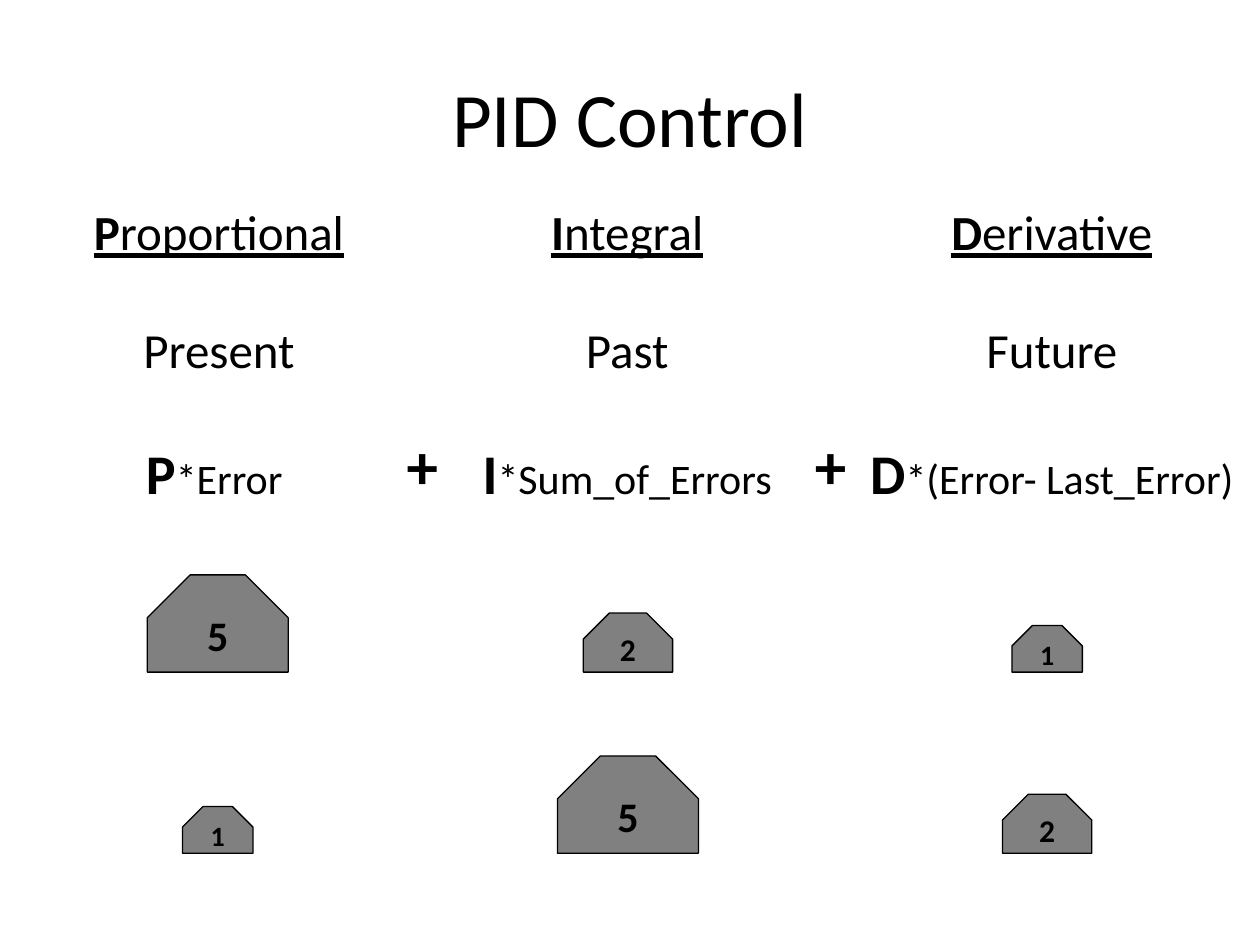
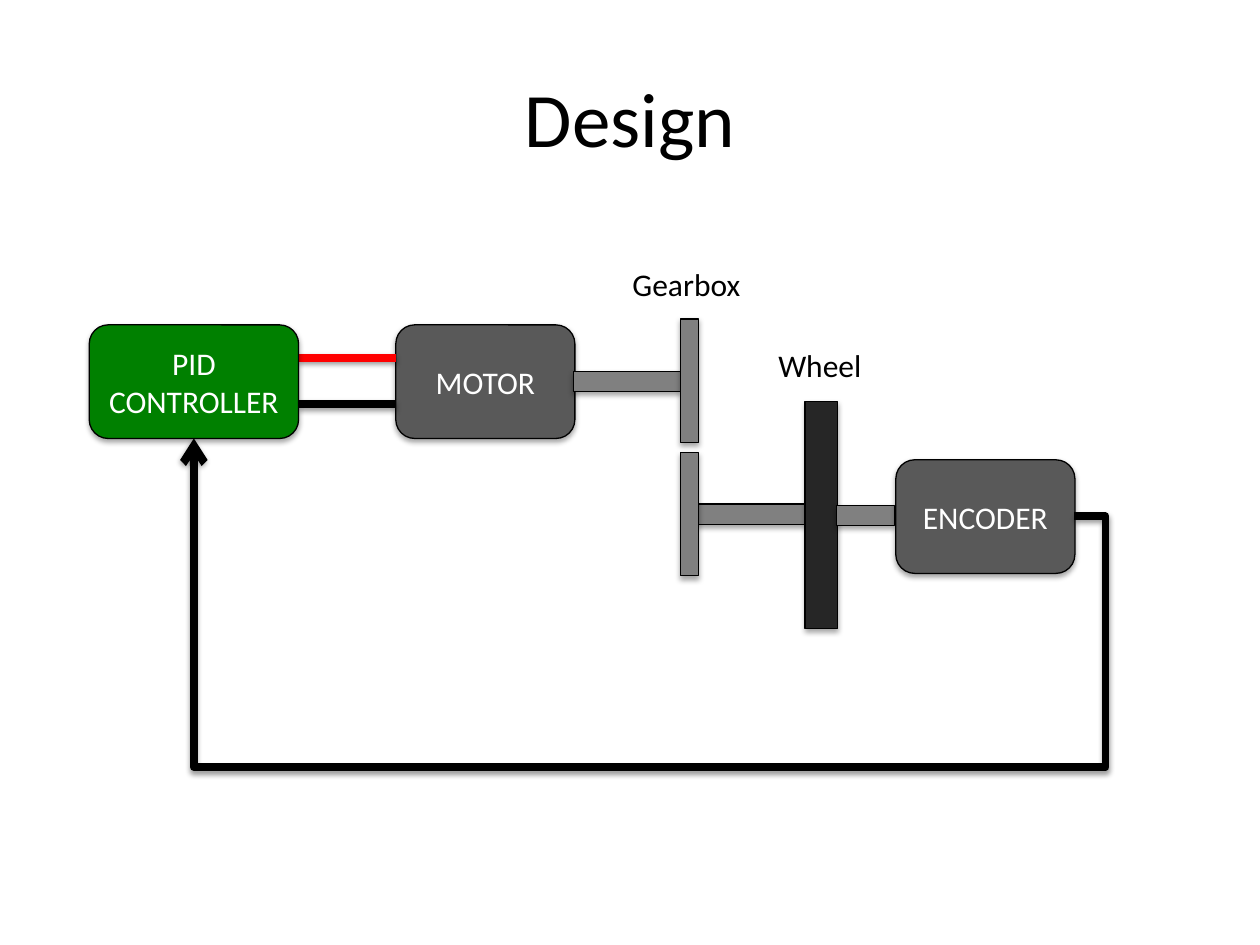
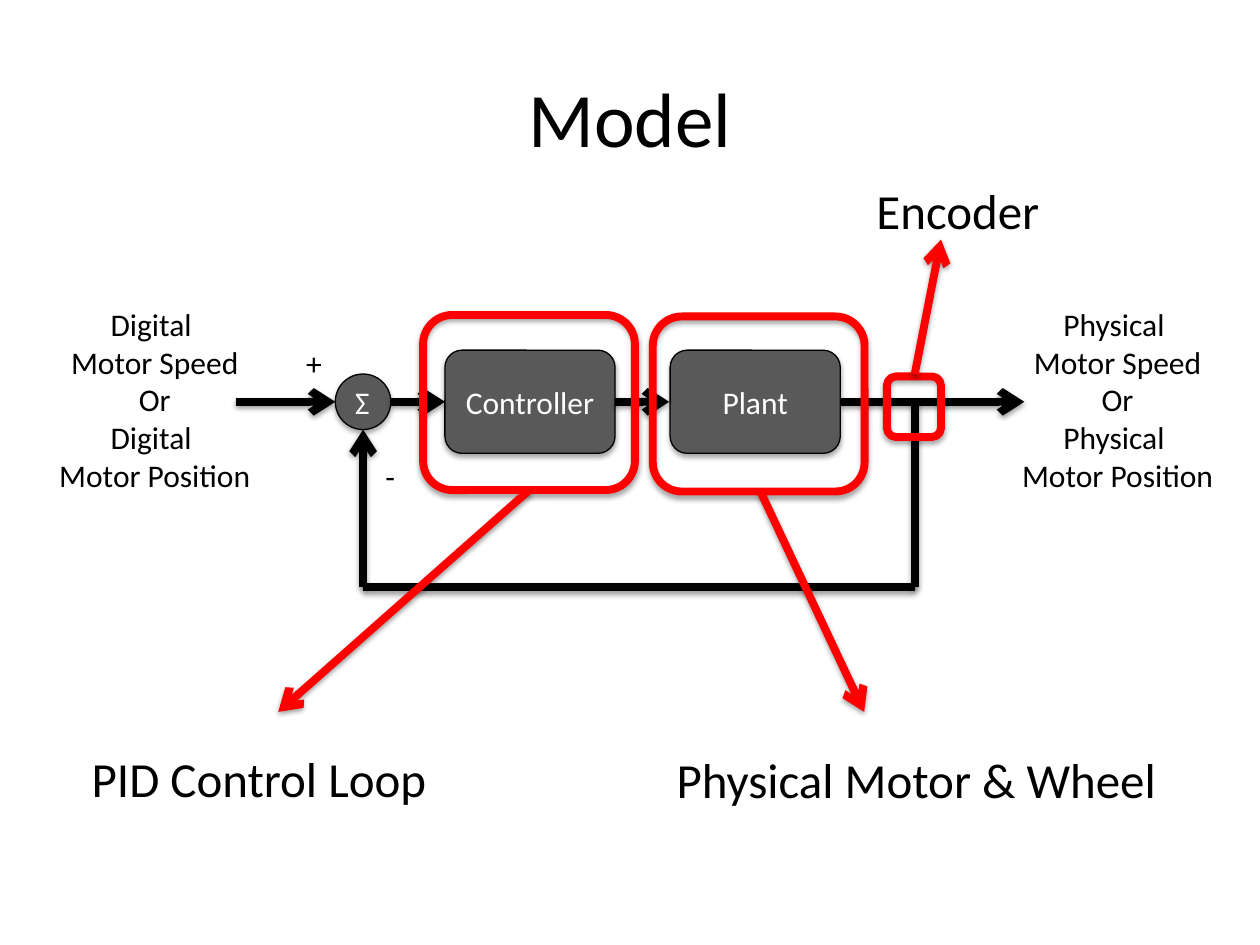
import lxml.etree
import pptx
import pptx.dml.color
import pptx.enum.shapes
import pptx.enum.text
import pptx.oxml
import pptx.oxml.ns
import pptx.util

Cm = pptx.util.Cm
Pt = pptx.util.Pt
RGBColor = pptx.dml.color.RGBColor
SHAPE = pptx.enum.shapes.MSO_SHAPE
CONNECTOR = pptx.enum.shapes.MSO_CONNECTOR
ALIGN = pptx.enum.text.PP_ALIGN
ANCHOR = pptx.enum.text.MSO_ANCHOR
qn = pptx.oxml.ns.qn

# Shared look
BLACK = RGBColor(0x00, 0x00, 0x00)
WHITE = RGBColor(0xFF, 0xFF, 0xFF)
RED = RGBColor(0xFF, 0x00, 0x00)
GREEN = RGBColor(0x00, 0x80, 0x00)
STEEL = RGBColor(0x80, 0x80, 0x80)
DARK_GRAY = RGBColor(0x59, 0x59, 0x59)
TIRE = RGBColor(0x26, 0x26, 0x26)
FONT = "Calibri"
THIN, THICK = Pt(0.75), Pt(4.5)

# Shadow opacity (percent) and distance (points)
BLOCK_SHADOW = (35, 1.8)
WIRE_SHADOW = (38, 1.6)

# Run formats
TITLE = {"size": Pt(44)}
HEAD = {"size": Pt(28), "underline": True}
HEAD_INITIAL = {**HEAD, "bold": True}
CALLOUT = {"size": Pt(28)}
GAIN = {"size": Pt(32), "bold": True}
TERM = {"size": Pt(24)}
PLUS = {"size": Pt(36), "bold": True}
LABEL = {"size": Pt(18)}


def apply_format(target, values):
    for name, value in values.items():
        setattr(target, name, value)


def write(paragraph, runs, color=BLACK, **layout):
    """Fill a paragraph with (text, format) runs."""
    apply_format(paragraph, layout)
    for text, values in runs:
        run = paragraph.add_run()
        run.text = text
        apply_format(run.font, {"name": FONT, **values})
        run.font.color.rgb = color


def add_text(slide, box, lines, color=BLACK, align=ALIGN.LEFT, wrap=False,
             anchor=ANCHOR.TOP, gap=0):
    """Place a text box; lines is a list of run lists."""
    frame = slide.shapes.add_textbox(*map(Cm, box)).text_frame
    apply_format(frame, {"word_wrap": wrap, "vertical_anchor": anchor})
    for index, runs in enumerate(lines):
        paragraph = frame.add_paragraph() if index else frame.paragraphs[0]
        write(paragraph, runs, color, alignment=align,
              space_before=Pt(gap if index else 0))


def add_title(slide, text):
    add_text(slide, (1.27, 0.76, 22.86, 3.18), [[(text, TITLE)]],
             align=ALIGN.CENTER, wrap=True, anchor=ANCHOR.MIDDLE)


def cast_shadow(element, opacity, distance):
    effects = lxml.etree.SubElement(element.spPr, qn("a:effectLst"))
    shadow = lxml.etree.SubElement(
        effects, qn("a:outerShdw"), blurRad=str(Pt(3.1)),
        dist=str(Pt(distance)), dir="5400000", rotWithShape="0")
    tint = lxml.etree.SubElement(shadow, qn("a:srgbClr"), val=str(BLACK))
    lxml.etree.SubElement(tint, qn("a:alpha"), val=str(opacity * 1000))


def add_block(slide, kind, box, fill, text="", color=WHITE, values=LABEL,
              shadow=BLOCK_SHADOW):
    """Filled shape with a thin outline and centred text."""
    block = slide.shapes.add_shape(kind, *map(Cm, box))
    block.fill.solid()
    block.fill.fore_color.rgb = fill
    block.line.color.rgb = BLACK
    block.line.width = THIN
    if shadow:
        cast_shadow(block._element, *shadow)
    else:
        block.shadow.inherit = False
    if text:
        block.text_frame.vertical_anchor = ANCHOR.MIDDLE
        write(block.text_frame.paragraphs[0], [(text, values)], color,
              alignment=ALIGN.CENTER)
    return block


def add_highlight(slide, box):
    """Red rounded frame around a part of the model."""
    highlight = slide.shapes.add_shape(SHAPE.ROUNDED_RECTANGLE, *map(Cm, box))
    highlight.fill.background()
    highlight.line.color.rgb = RED
    highlight.line.width = THICK
    cast_shadow(highlight._element, *BLOCK_SHADOW)


def add_wire(slide, start, end, color=BLACK, arrow=False,
             kind=CONNECTOR.STRAIGHT):
    wire = slide.shapes.add_connector(kind, *map(Cm, start + end))
    wire.line.color.rgb = color
    wire.line.width = THICK
    if arrow:
        lxml.etree.SubElement(wire.line._get_or_add_ln(), qn("a:tailEnd"),
                              type="arrow")
    cast_shadow(wire._element, *WIRE_SHADOW)
    return wire


def add_feedback_loop(slide, start, end, bends):
    """Elbow wire with three corners; bends are fractions of its extent."""
    loop = add_wire(slide, start, end, arrow=True, kind=CONNECTOR.ELBOW)
    geometry = loop._element.spPr.find(qn("a:prstGeom"))
    geometry.set("prst", "bentConnector4")
    guides = geometry.find(qn("a:avLst"))
    if guides is None:
        guides = lxml.etree.SubElement(geometry, qn("a:avLst"))
    for number, bend in enumerate(bends, 1):
        lxml.etree.SubElement(guides, qn("a:gd"), name=f"adj{number}",
                              fmla=f"val {round(bend * 100000)}")


def build_pid_control(slide):
    add_title(slide, "PID Control")

    # The three terms
    terms = [
        (0.3, "Proportional", "Present", "*Error "),
        (8.53, "Integral", "Past", "*Sum_of_Errors"),
        (17.09, "Derivative", "Future", "*(Error- Last_Error)"),
    ]
    for left, name, tense, factor in terms:
        lines = [
            [(name[0], HEAD_INITIAL), (name[1:], HEAD)],
            [(tense, CALLOUT)],
            [(name[0], GAIN), (factor, TERM)],
        ]
        add_text(slide, (left, 3.94, 8.23, 14.83), lines,
                 align=ALIGN.CENTER, wrap=True, gap=34)

    # Weights standing on two base lines: width, height, text size
    weight_sizes = {5: (2.84, 1.96, 24), 2: (1.8, 1.19, 18),
                    1: (1.42, 0.94, 16)}
    centers = (4.39, 12.66, 21.11)
    for base, weights in ((13.55, (5, 2, 1)), (17.2, (1, 5, 2))):
        for center, weight in zip(centers, weights):
            width, height, size = weight_sizes[weight]
            block = add_block(
                slide, SHAPE.SNIP_2_SAME_RECTANGLE,
                (center - width / 2, base - height, width, height), STEEL,
                str(weight), BLACK, {"size": Pt(size), "bold": True}, None)
            block.adjustments[0] = 0.44

    for left in (7.95, 16.18):
        add_text(slide, (left, 8.48, 1.14, 1.8), [[("+", PLUS)]])


def build_design(slide):
    add_title(slide, "Design")

    # Drive train
    add_block(slide, SHAPE.ROUNDED_RECTANGLE, (7.98, 6.55, 3.61, 2.29),
              DARK_GRAY, "MOTOR")
    drive_train = [
        ((11.56, 7.49, 2.16, 0.41), STEEL),
        ((13.72, 6.43, 0.36, 2.49), STEEL),
        ((14.07, 10.16, 2.16, 0.41), STEEL),
        ((13.72, 9.12, 0.36, 2.49), STEEL),
        ((16.23, 8.1, 0.66, 4.57), TIRE),
        ((16.87, 10.19, 1.17, 0.41), STEEL),
    ]
    for box, fill in drive_train:
        add_block(slide, SHAPE.RECTANGLE, box, fill)

    # Motor power
    for y, color in ((7.21, RED), (8.15, BLACK)):
        add_wire(slide, (7.98, y), (6.02, y), color)

    add_text(slide, (12.5, 5.21, 2.72, 1.02), [[("Gearbox", LABEL)]])
    add_text(slide, (15.44, 6.86, 2.21, 1.02), [[("Wheel", LABEL)]])

    # Electronics and feedback
    add_block(slide, SHAPE.ROUNDED_RECTANGLE, (1.8, 6.55, 4.22, 2.29),
              GREEN, "PID CONTROLLER")
    add_block(slide, SHAPE.ROUNDED_RECTANGLE, (18.06, 9.27, 3.61, 2.29),
              DARK_GRAY, "ENCODER")
    add_feedback_loop(slide, (21.65, 10.41), (3.91, 8.84), (-0.036, -3.22))


def build_model(slide):
    add_title(slide, "Model")
    signal_y, return_y = 8.1, 11.84
    sum_x, branch_x = 7.32, 18.44

    # Input and output
    for start, end in ((4.75, 6.76), (16.94, 20.65)):
        add_wire(slide, (start, signal_y), (end, signal_y), arrow=True)
    for left, domain in ((0.91, "Digital "), (20.32, "Physical ")):
        words = (domain, "Motor Speed", "Or", domain, "Motor Position")
        add_text(slide, (left, 6.02, 4.42, 4.11),
                 [[(word, LABEL)] for word in words], align=ALIGN.CENTER)

    # Blocks
    for left, name in ((8.97, "Controller"), (13.51, "Plant")):
        add_block(slide, SHAPE.ROUNDED_RECTANGLE, (left, 7.06, 3.43, 2.08),
                  DARK_GRAY, name)
    add_block(slide, SHAPE.OVAL, (6.76, 7.54, 1.12, 1.12), DARK_GRAY)

    # Feedback path, then the links between blocks
    add_wire(slide, (branch_x, signal_y), (branch_x, return_y))
    add_wire(slide, (branch_x, return_y), (sum_x, return_y))
    add_wire(slide, (sum_x, return_y), (sum_x, 8.66), arrow=True)
    for start, end in ((7.87, 8.97), (12.4, 13.49)):
        add_wire(slide, (start, signal_y), (end, signal_y), arrow=True)

    # Summing signs
    add_text(slide, (5.92, 6.81, 0.84, 1.02), [[("+", LABEL)]])
    add_text(slide, (7.52, 9.09, 0.71, 1.02), [[("-", LABEL)]])
    add_text(slide, (6.91, 7.59, 0.81, 1.02), [[("Σ", LABEL)]], WHITE)

    # Callouts: highlight, arrow start and end, label box, label
    callouts = [
        ((8.53, 6.35, 4.27, 3.53), (10.67, 9.88), (5.61, 14.35),
         (1.6, 14.96, 7.37, 1.45), "PID Control Loop"),
        ((13.16, 6.38, 4.27, 3.53), (15.34, 9.93), (17.42, 14.35),
         (13.39, 14.99, 10.34, 1.45), "Physical Motor & Wheel"),
        ((17.88, 7.59, 1.09, 1.22), (18.44, 7.54), (18.97, 4.83),
         (17.42, 3.51, 3.84, 1.45), "Encoder"),
    ]
    for highlight, start, end, box, label in callouts:
        add_highlight(slide, highlight)
        add_wire(slide, start, end, RED, arrow=True)
        add_text(slide, box, [[(label, CALLOUT)]])


def main():
    deck = pptx.Presentation()
    apply_format(deck, {"slide_width": Cm(25.4), "slide_height": Cm(19.05)})
    for build in (build_pid_control, build_design, build_model):
        build(deck.slides.add_slide(deck.slide_layouts[6]))
    deck.save("out.pptx")


if __name__ == "__main__":
    main()
